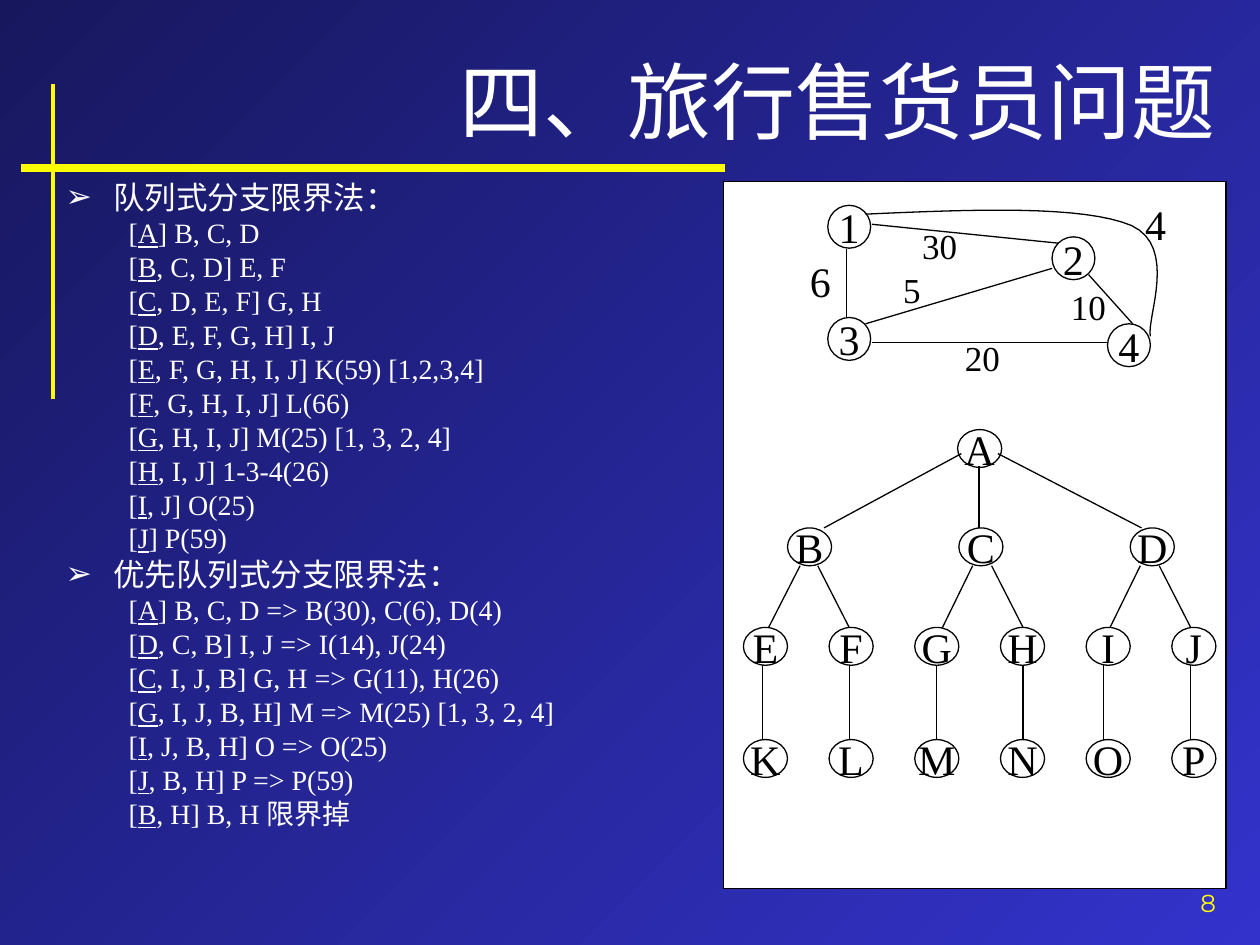
import pptx
import pptx.util
import pptx.dml.color
import pptx.enum.text
import pptx.enum.shapes
import lxml.etree

HUE = {"pale": "3333CC", "deep": "17175E", "gold": "FFFF00", "white": "FFFFFF", "ink": "000000"}
FACE = "Times New Roman"
TITLE = "四、旅行售货员问题"
LISTS = [
    ("队列式分支限界法：", [
        "A] B, C, D", "B, C, D] E, F", "C, D, E, F] G, H", "D, E, F, G, H] I, J",
        "E, F, G, H, I, J] K(59) [1,2,3,4]", "F, G, H, I, J] L(66)",
        "G, H, I, J] M(25) [1, 3, 2, 4]", "H, I, J] 1-3-4(26)", "I, J] O(25)", "J] P(59)"]),
    ("优先队列式分支限界法：", [
        "A] B, C, D => B(30), C(6), D(4)", "D, C, B] I, J => I(14), J(24)",
        "C, I, J, B] G, H => G(11), H(26)", "G, I, J, B, H] M => M(25) [1, 3, 2, 4]",
        "I, J, B, H] O => O(25)", "J, B, H] P => P(59)", "B, H] B, H 限界掉"]),
]
CITIES = [("1", 6.57, 1.63), ("2", 8.35, 1.88), ("3", 6.57, 2.52), ("4", 8.79, 2.57)]
ROADS = [(6.72, 1.98, 6.72, 2.52), (6.92, 2.72, 8.79, 2.72), (6.92, 1.78, 8.4, 1.93),
         (8.64, 2.18, 8.99, 2.57), (8.35, 2.13, 6.87, 2.57)]
BEND = [[(6.87, 1.7), (7.74, 1.66), (8.6, 1.63), (8.98, 1.79)],
        [(8.98, 1.79), (9.35, 1.96), (9.1, 2.52), (9.13, 2.67)]]
COSTS = [("6", 6.33, 1.98, 0.36, 0.5, 24), ("4", 8.99, 1.53, 0.36, 0.5, 24),
         ("30", 7.22, 1.73, 0.48, 0.44, 20), ("20", 7.56, 2.62, 0.48, 0.44, 20),
         ("5", 7.07, 2.08, 0.34, 0.44, 20), ("10", 8.4, 2.22, 0.48, 0.44, 20)]
TREE = [("A", 7.6, 3.41, 0), ("BCD", 6.25, 4.19, 1.36),
        ("EFGHIJ", 5.9, 4.98, 0.68), ("KLMNOP", 5.9, 5.87, 0.68)]
DROPS = [(x, x) for x in (6.05, 6.74, 7.43, 8.12, 8.76, 9.45)]
LINKS = [
    (3.6, 4.19, [(7.63, 6.54), (7.92, 9.06)]),
    (3.7, 4.19, [(7.77, 7.77)]),
    (4.49, 4.98, [(6.35, 6.1), (6.49, 6.74), (7.72, 7.48), (7.87, 8.12), (9.05, 8.81), (9.2, 9.45)]),
    (5.28, 5.87, DROPS),
]

Inch, Pt = pptx.util.Inches, pptx.util.Pt
Align, Mid = pptx.enum.text.PP_ALIGN, pptx.enum.text.MSO_ANCHOR.MIDDLE
Fit = pptx.enum.text.MSO_AUTO_SIZE
Kind = pptx.enum.shapes.MSO_SHAPE


def tint(name):
    return pptx.dml.color.RGBColor.from_string(HUE[name])


def put(item, **vals):
    for key, val in vals.items():
        setattr(item, key, val)


def move(item, left, top, wide, high):
    put(item, left=Inch(left), top=Inch(top), width=Inch(wide), height=Inch(high))


def write(para, text, size, hue, face=FACE, **more):
    run = para.add_run()
    run.text = text
    put(run.font, size=Pt(size), name=face, **more)
    run.font.color.rgb = tint(hue)


def tag(node, name, **vals):
    part = lxml.etree.SubElement(node, pptx.oxml.ns.qn("a:" + name))
    for key, val in vals.items():
        part.set(key, val)
    return part


def ruler(x1, y1, x2, y2, hue="ink", wide=0.75):
    line = shapes.add_connector(pptx.enum.shapes.MSO_CONNECTOR.STRAIGHT,
                                Inch(x1), Inch(y1), Inch(x2), Inch(y2))
    line.line.color.rgb = tint(hue)
    line.line.width = Pt(wide)
    tag(line._element.spPr, "effectLst")


def edge(item):
    item.shadow.inherit = False
    item.line.color.rgb = tint("ink")
    item.line.width = Pt(0.75)


def solid(kind, *box):
    item = shapes.add_shape(kind, *map(Inch, box))
    item.fill.solid()
    item.fill.fore_color.rgb = tint("white")
    edge(item)
    return item


def knot(text, *box):
    frame = solid(Kind.OVAL, *box).text_frame
    put(frame, word_wrap=False, vertical_anchor=Mid)
    para = frame.paragraphs[0]
    para.alignment = Align.CENTER
    write(para, text, 24, "ink")


def label(text, box, size, hue, side, face=FACE, **vals):
    frame = shapes.add_textbox(*map(Inch, box)).text_frame
    put(frame, **vals)
    para = frame.paragraphs[0]
    para.alignment = side
    write(para, text, size, hue, face)


def row(level, left, hang, gap):
    para = body.paragraphs[0] if not body.paragraphs[0].runs else body.add_paragraph()
    put(para, level=level, line_spacing=0.8, space_before=Pt(gap))
    prop = para._p.get_or_add_pPr()
    prop.set("marL", str(Inch(left)))
    prop.set("indent", str(-Inch(hang)))
    return para, prop


def cubic(pts, t):
    mix = ((1 - t) ** 3, 3 * t * (1 - t) ** 2, 3 * t * t * (1 - t), t ** 3)
    return tuple(Inch(sum(m * p[axis] for m, p in zip(mix, pts))) for axis in (0, 1))


deck = pptx.Presentation()
put(deck, slide_width=Inch(10), slide_height=Inch(7.5))
slide = deck.slides.add_slide(deck.slide_layouts[1])
shapes = slide.shapes

back = slide.background.fill
back.gradient()
back.gradient_angle = 135
for stop, hue, place in zip(back.gradient_stops, ("pale", "deep"), (0, 1)):
    stop.color.rgb = tint(hue)
    stop.position = place

ruler(0.17, 1.33, 5.75, 1.33, "gold", 4.5)
ruler(0.42, 0.67, 0.42, 3.17, "gold", 2.25)

move(shapes.title, 0.42, 0.33, 9.33, 0.92)
head = shapes.title.text_frame
put(head, vertical_anchor=Mid, auto_size=Fit.NONE)
head.paragraphs[0].alignment = Align.RIGHT
write(head.paragraphs[0], TITLE, 48, "white")

move(slide.placeholders[1], 0.42, 1.42, 5.22, 5.58)
body = slide.placeholders[1].text_frame
body.auto_size = Fit.NONE
for name, steps in LISTS:
    para, prop = row(0, 0.38, 0.38, 4.5)
    tag(tag(prop, "buClr"), "srgbClr", val=HUE["white"])
    tag(prop, "buChar", char="➢")
    write(para, name, 18, "white")
    for step in steps:
        para, prop = row(1, 0.81, 0.31, 4)
        tag(prop, "buNone")
        write(para, "[", 16, "white")
        write(para, step[0], 16, "white", underline=True)
        write(para, step[1:], 16, "white")

solid(Kind.RECTANGLE, 5.74, 1.44, 3.99, 5.61)
for text, left, top in CITIES:
    knot(text, left, top, 0.34, 0.34)
for road in ROADS:
    ruler(*road)
dots = [cubic(part, n / 16) for part in BEND for n in range(17)]
pen = shapes.build_freeform(*dots[0])
pen.add_line_segments(dots[1:], close=False)
arc = pen.convert_to_shape()
arc.fill.background()
edge(arc)
for text, *box, size in COSTS:
    label(text, box, size, "ink", Align.LEFT, word_wrap=False, auto_size=Fit.SHAPE_TO_FIT_TEXT)

for names, left, top, gap in TREE:
    for n, name in enumerate(names):
        knot(name, left + n * gap, top, 0.35, 0.3)
for y1, y2, ends in LINKS:
    for x1, x2 in ends:
        ruler(x1, y1, x2, y2)

label("8", (7.67, 7, 2.08, 0.5), 14, "gold", Align.RIGHT, "Montserrat", word_wrap=True)
deck.save("out.pptx")
